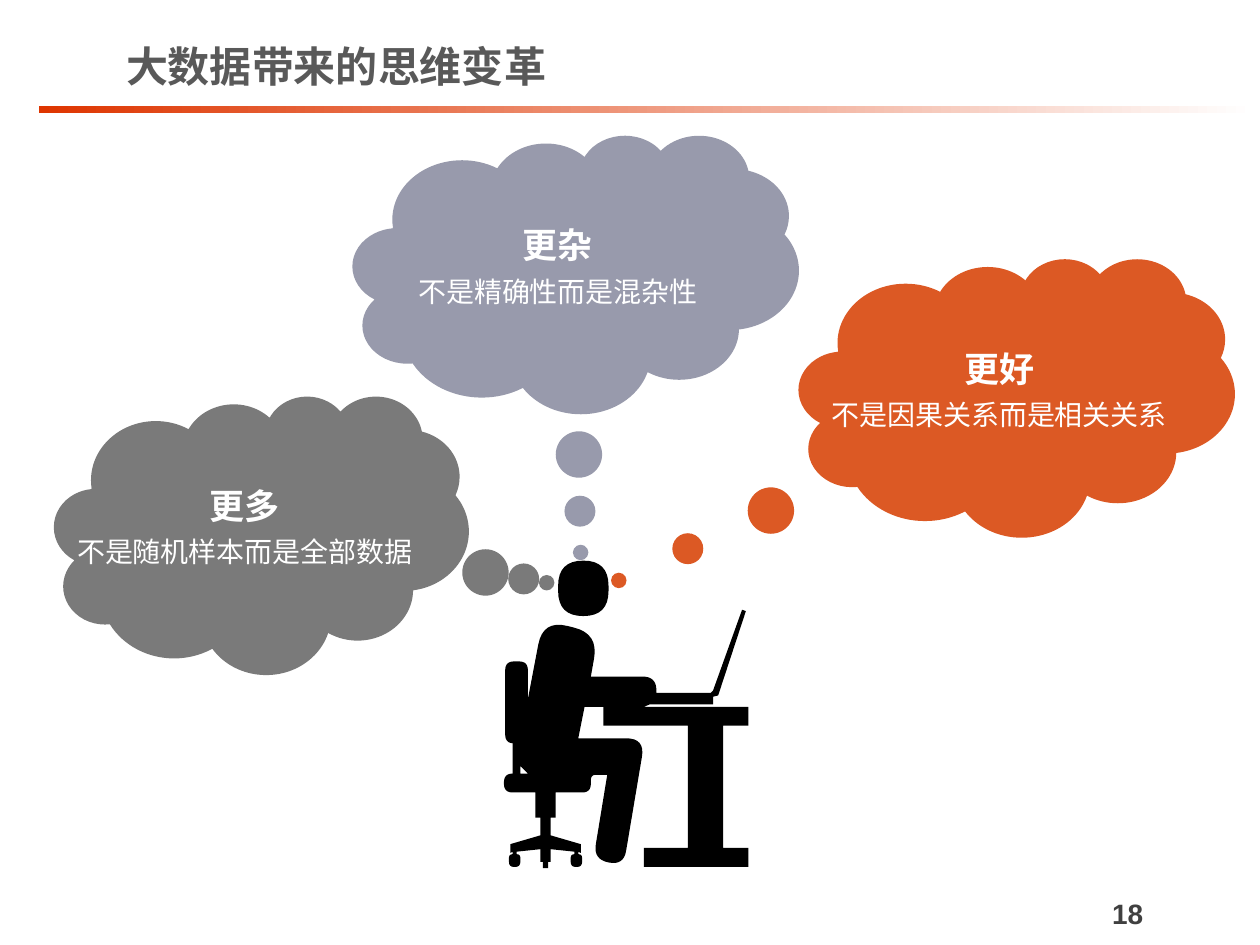
from dataclasses import dataclass
from math import hypot
from typing import NamedTuple

from lxml.etree import SubElement
from pptx import Presentation
from pptx.dml.color import RGBColor
from pptx.enum.shapes import MSO_SHAPE
from pptx.enum.text import MSO_ANCHOR, PP_ALIGN
from pptx.oxml.ns import qn
from pptx.util import Inches, Pt


@dataclass(frozen=True)
class Theme:
    han: str = "Noto Sans CJK SC"
    latin: str = "Arial"
    title: str = "595959"
    page: str = "404040"
    bar: str = "DE3500"
    white: str = "FFFFFF"
    black: str = "000000"
    grey: str = "7A7A7A"
    orange: str = "DC5924"
    violet: str = "989AAC"
    title_size: int = 24
    head_size: int = 20
    body_size: int = 16
    lead: int = 24


class Box(NamedTuple):
    left: float
    top: float
    width: float
    height: float


class Point(NamedTuple):
    x: float
    y: float
    r: float = 0


@dataclass(frozen=True)
class Cloud:
    box: Box
    tail: tuple[float, float]
    color: str
    head: str
    body: str
    wrap: bool = False


THEME = Theme()

MORE = Cloud(Box(0.43, 3.14, 3.29, 2.21), (0.688, 0.172), THEME.grey,
             "更多", "不是随机样本而是全部数据")
MIXED = Cloud(Box(2.8, 1.07, 3.54, 2.21), (0.011, 1), THEME.violet,
              "更杂", "不是精确性而是混杂性", True)
BETTER = Cloud(Box(6.34, 2.05, 3.46, 2.21), (-0.913, 0.657), THEME.orange,
               "更好", "不是因果关系而是相关关系")

AXIS = 4.33
BASE = [
    Point(4.25, 6.29), Point(4.25, 6.49), Point(4.29, 6.49),
    Point(4.29, 6.63), Point(4.05, 6.7), Point(4.05, 6.77),
    Point(4.07, 6.76), Point(4.07, 6.78), Point(4.04, 6.78, 0.03),
    Point(4.04, 6.88, 0.04), Point(4.13, 6.88, 0.04),
    Point(4.13, 6.78, 0.03), Point(4.1, 6.78), Point(4.1, 6.76),
    Point(4.29, 6.74), Point(4.29, 6.84), Point(4.31, 6.84),
    Point(4.31, 6.89),
]
SEAT = [Point(4, 6.14, 0.07), Point(4, 6.29, 0.07)]
BODY = [
    Point(4.69, 6.29, 0.07), Point(4.69, 6.15, 0.04), Point(4.82, 6.15),
    Point(4.71, 6.82, 0.12), Point(4.95, 6.87, 0.12),
    Point(5.12, 5.86, 0.15), Point(4.59, 5.86), Point(4.64, 5.61),
    Point(5.11, 5.61), Point(5.16, 5.59), Point(5.66, 5.59),
    Point(5.66, 5.53), Point(5.7, 5.52), Point(5.92, 4.85),
    Point(5.89, 4.84), Point(5.66, 5.48), Point(5.64, 5.5),
    Point(5.21, 5.5), Point(5.21, 5.37, 0.11), Point(4.69, 5.37),
    Point(4.75, 5.03, 0.2), Point(4.31, 4.92, 0.2), Point(4.19, 5.55),
    Point(4.19, 5.25, 0.07), Point(4.01, 5.25, 0.07),
    Point(4.01, 5.9, 0.07), Point(4.07, 5.9), Point(4.07, 6.14),
]
HEAD = [Point(4.43, 4.45, 0.2), Point(4.83, 4.45, 0.2),
        Point(4.83, 4.89, 0.2), Point(4.43, 4.89, 0.2)]
GAP = [Point(4.13, 6.08), Point(4.19, 6.14), Point(4.13, 6.14)]
DESK = [
    Point(5.46, 6.73), Point(5.11, 6.73), Point(5.11, 6.88),
    Point(5.94, 6.88), Point(5.94, 6.73), Point(5.74, 6.73),
    Point(5.74, 5.76), Point(5.94, 5.76), Point(5.94, 5.61),
    Point(4.79, 5.61), Point(4.79, 5.76), Point(5.46, 5.76),
]


def rgb(code: str) -> RGBColor:
    return RGBColor.from_string(code)


def place(shape, box: Box) -> None:
    shape.left, shape.top, shape.width, shape.height = map(Inches, box)


def style(para, face: str, size: int, color: str, bold: bool) -> None:
    for run in para.runs:
        font = run.font
        font.name, font.size, font.bold = face, Pt(size), bold
        font.color.rgb = rgb(color)
        SubElement(font._element, qn("a:ea")).set("typeface", face)


def paint(shape, color: str) -> None:
    shape.shadow.inherit = False
    shape.fill.solid()
    shape.fill.fore_color.rgb = rgb(color)
    shape.line.fill.background()


def draw_cloud(slide, cloud: Cloud) -> None:
    shape = slide.shapes.add_shape(MSO_SHAPE.CLOUD_CALLOUT,
                                   *map(Inches, cloud.box))
    shape.adjustments[0], shape.adjustments[1] = cloud.tail
    paint(shape, cloud.color)
    frame = shape.text_frame
    frame.word_wrap = cloud.wrap
    frame.vertical_anchor = MSO_ANCHOR.MIDDLE
    frame.margin_left, frame.margin_top = 0, Inches(0.03)
    frame.margin_right, frame.margin_bottom = Inches(0.03), Inches(0.06)
    frame.text = f"{cloud.head}\n{cloud.body}"
    sizes = (THEME.head_size, THEME.body_size)
    for para, size, bold in zip(frame.paragraphs, sizes, (True, False)):
        para.alignment = PP_ALIGN.CENTER
        para.line_spacing = Pt(THEME.lead)
        style(para, THEME.han, size, THEME.white, bold)


def toward(start: Point, end: Point) -> Point:
    part = start.r / hypot(end.x - start.x, end.y - start.y)
    return Point(start.x + (end.x - start.x) * part,
                 start.y + (end.y - start.y) * part)


def soften(points: list[Point], steps: int = 8) -> list[tuple[int, int]]:
    path = []
    for i, point in enumerate(points):
        if not point.r:
            path.append((point.x, point.y))
            continue
        a = toward(point, points[i - 1])
        b = toward(point, points[(i + 1) % len(points)])
        for step in range(steps + 1):
            t = step / steps
            u = 1 - t
            path.append((u * u * a.x + 2 * u * t * point.x + t * t * b.x,
                         u * u * a.y + 2 * u * t * point.y + t * t * b.y))
    return [(Inches(x), Inches(y)) for x, y in path]


def draw_worker(slide) -> None:
    flip = [Point(2 * AXIS - p.x, p.y, p.r) for p in reversed(BASE)]
    paths = [soften(part) for part in (HEAD, SEAT + BASE + flip + BODY,
                                       GAP, DESK)]
    pen = slide.shapes.build_freeform(*paths[0][0])
    pen.add_line_segments(paths[0][1:])
    for path in paths[1:]:
        pen.move_to(*path[0])
        pen.add_line_segments(path[1:])
    paint(pen.convert_to_shape(), THEME.black)


def draw_frame(slide) -> None:
    page = slide.shapes.add_textbox(*map(Inches, (7.87, 7.06, 2.16, 0.37)))
    frame = page.text_frame
    frame.word_wrap = True
    frame.vertical_anchor = MSO_ANCHOR.MIDDLE
    frame.text = "18"
    frame.paragraphs[0].alignment = PP_ALIGN.CENTER
    style(frame.paragraphs[0], THEME.latin, THEME.body_size, THEME.page, True)

    bar = slide.shapes.add_shape(MSO_SHAPE.RECTANGLE,
                                 *map(Inches, (0.31, 0.84, 9.65, 0.06)))
    paint(bar, THEME.bar)
    bar.fill.gradient()
    bar.fill.gradient_angle = 0
    for stop, color, spot in zip(bar.fill.gradient_stops,
                                 (THEME.bar, THEME.white), (0, 1)):
        stop.color.rgb = rgb(color)
        stop.position = spot

    title = slide.shapes.title
    place(title, Box(0.9, 0.25, 8.67, 0.55))
    title.text_frame.text = "大数据带来的思维变革"
    title.text_frame.vertical_anchor = MSO_ANCHOR.MIDDLE
    title.text_frame.paragraphs[0].alignment = PP_ALIGN.LEFT
    style(title.text_frame.paragraphs[0], THEME.han, THEME.title_size,
          THEME.title, True)


def main() -> None:
    deck = Presentation()
    deck.slide_width, deck.slide_height = Inches(10), Inches(7.5)
    slide = deck.slides.add_slide(deck.slide_layouts[5])
    draw_frame(slide)
    for cloud in (BETTER, MORE):
        draw_cloud(slide, cloud)
    draw_worker(slide)
    draw_cloud(slide, MIXED)
    deck.save("out.pptx")


if __name__ == "__main__":
    main()
